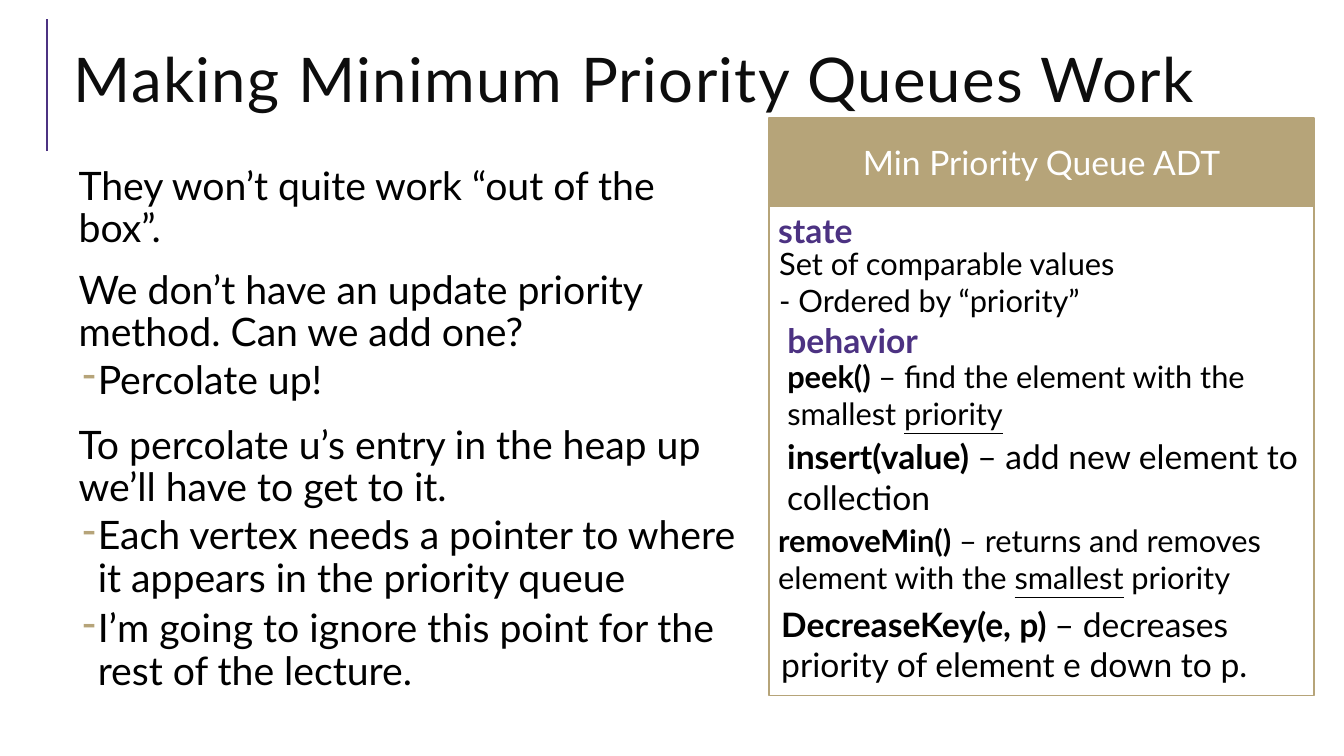
import pptx
import pptx.util
import pptx.dml.color
import pptx.enum.shapes
import pptx.enum.text
from lxml import etree
from pptx.util import Inches, Pt

PURPLE, GOLD, BLACK, WHITE = "4C3282", "B6A479", "000000", "FFFFFF"
NS = "{http://schemas.openxmlformats.org/drawingml/2006/main}"


def rgb(color):
    return pptx.dml.color.RGBColor.from_string(color)


def add_text(tf, runs, size, color, first=True):
    """Fill a paragraph with (text, style) runs; style holds b for bold, u for underline."""
    p = tf.paragraphs[0] if first else tf.add_paragraph()
    for text, style in runs:
        r = p.add_run()
        r.text = text
        if "b" in style:
            r.font.bold = True
        if "u" in style:
            r.font.underline = True
    p.font.name = "Lato"
    p.font.size = Pt(size)
    p.font.color.rgb = rgb(color)
    return p


prs = pptx.Presentation()
prs.slide_width, prs.slide_height = Inches(13.33), Inches(7.5)
s = prs.slides.add_slide(prs.slide_layouts[6])

# Title with its accent line
accent = s.shapes.add_connector(pptx.enum.shapes.MSO_CONNECTOR.STRAIGHT,
                                Inches(0.47), Inches(1.5), Inches(0.47), Inches(0.19))
accent.line.color.rgb = rgb(PURPLE)
accent.line.width = Pt(1.5)
etree.SubElement(accent._element.spPr, NS + "effectLst")

tf = s.shapes.add_textbox(Inches(0.63), Inches(0.29), Inches(12.23), Inches(1.11)).text_frame
tf.word_wrap = True
tf.vertical_anchor = pptx.enum.text.MSO_ANCHOR.MIDDLE
p = add_text(tf, [("Making Minimum Priority Queues Work", "")], 44, "0D0D0D")
p.line_spacing = 0.8
p.runs[0].font._element.set("spc", "100")

# Left column: (level, text)
points = [
    (0, "They won’t quite work “out of the box”."),
    (0, "We don’t have an update priority method. Can we add one?"),
    (1, "Percolate up!"),
    (0, "To percolate u’s entry in the heap up we’ll have to get to it."),
    (1, "Each vertex needs a pointer to where it appears in the priority queue"),
    (1, "I’m going to ignore this point for the rest of the lecture."),
]
tf = s.shapes.add_textbox(Inches(0.63), Inches(1.6), Inches(6.74), Inches(5.3)).text_frame
tf.word_wrap = True
tf.margin_left = tf.margin_right = tf.margin_top = tf.margin_bottom = Inches(0.05)
for i, (level, text) in enumerate(points):
    p = add_text(tf, [(text, "")], 28, BLACK, first=i == 0)
    p.level = level
    p.line_spacing = 0.9
    p.space_before = Pt(0 if i == 0 else 2 if level else 12)
    p.space_after = Pt(4 if level else 2)
    pPr = p._p.get_or_add_pPr()
    pPr.set("marL", str(Inches(0.29 if level else 0.1)))
    pPr.set("indent", str(Inches(-0.15 if level else 0)))
    if level:
        bullet_color = etree.Element(NS + "buClr")
        etree.SubElement(bullet_color, NS + "srgbClr", val=GOLD)
        bullet = etree.Element(NS + "buChar", char="-")
        default_font = pPr.find(NS + "defRPr")
        default_font.addprevious(bullet_color)
        default_font.addprevious(bullet)

# ADT card: frame and header
for top, height, fill in [(1.19, 5.71, None), (1.17, 0.88, GOLD)]:
    box = s.shapes.add_shape(pptx.enum.shapes.MSO_SHAPE.RECTANGLE,
                             Inches(7.63), Inches(top), Inches(5.4), Inches(height))
    box.shadow.inherit = False
    box.line.color.rgb = rgb(GOLD)
    box.line.width = Pt(1.25)
    if fill:
        box.fill.solid()
        box.fill.fore_color.rgb = rgb(fill)
        box.text_frame.vertical_anchor = pptx.enum.text.MSO_ANCHOR.MIDDLE
        p = add_text(box.text_frame, [("Min Priority Queue ADT", "")], 24, WHITE)
        p.alignment = pptx.enum.text.PP_ALIGN.CENTER
    else:
        box.fill.background()

# ADT card entries: left, top, width, height, size, colour, paragraphs of runs
entries = [
    (7.62, 2.03, 2.75, 0.5, 24, PURPLE, [[("state", "b")]]),
    (7.63, 2.38, 5.21, 0.84, 22, BLACK,
     [[("Set of comparable values", "")], [("- Ordered by “priority”", "")]]),
    (7.71, 3.12, 2.75, 0.5, 24, PURPLE, [[("behavior", "b")]]),
    (7.71, 3.5, 5.19, 0.84, 22, BLACK,
     [[("peek() ", "b"), ("– find the element with the smallest ", ""), ("priority", "u")]]),
    (7.71, 4.28, 5.36, 0.91, 24, BLACK,
     [[("insert(value) ", "b"), ("– add new element to collection", "")]]),
    (7.62, 5.13, 5.01, 0.84, 22, BLACK,
     [[("removeMin()", "b"), (" – returns and removes element with the ", ""),
       ("smallest", "u"), (" priority", "")]]),
    (7.65, 5.94, 5.24, 0.91, 24, BLACK,
     [[("DecreaseKey(e, p) ", "b"), ("– decreases priority of element e down to p.", "")]]),
]
for left, top, width, height, size, color, paragraphs in entries:
    tf = s.shapes.add_textbox(Inches(left), Inches(top), Inches(width), Inches(height)).text_frame
    tf.word_wrap = True
    tf.auto_size = pptx.enum.text.MSO_AUTO_SIZE.SHAPE_TO_FIT_TEXT
    for i, runs in enumerate(paragraphs):
        add_text(tf, runs, size, color, first=i == 0)

prs.save("out.pptx")
